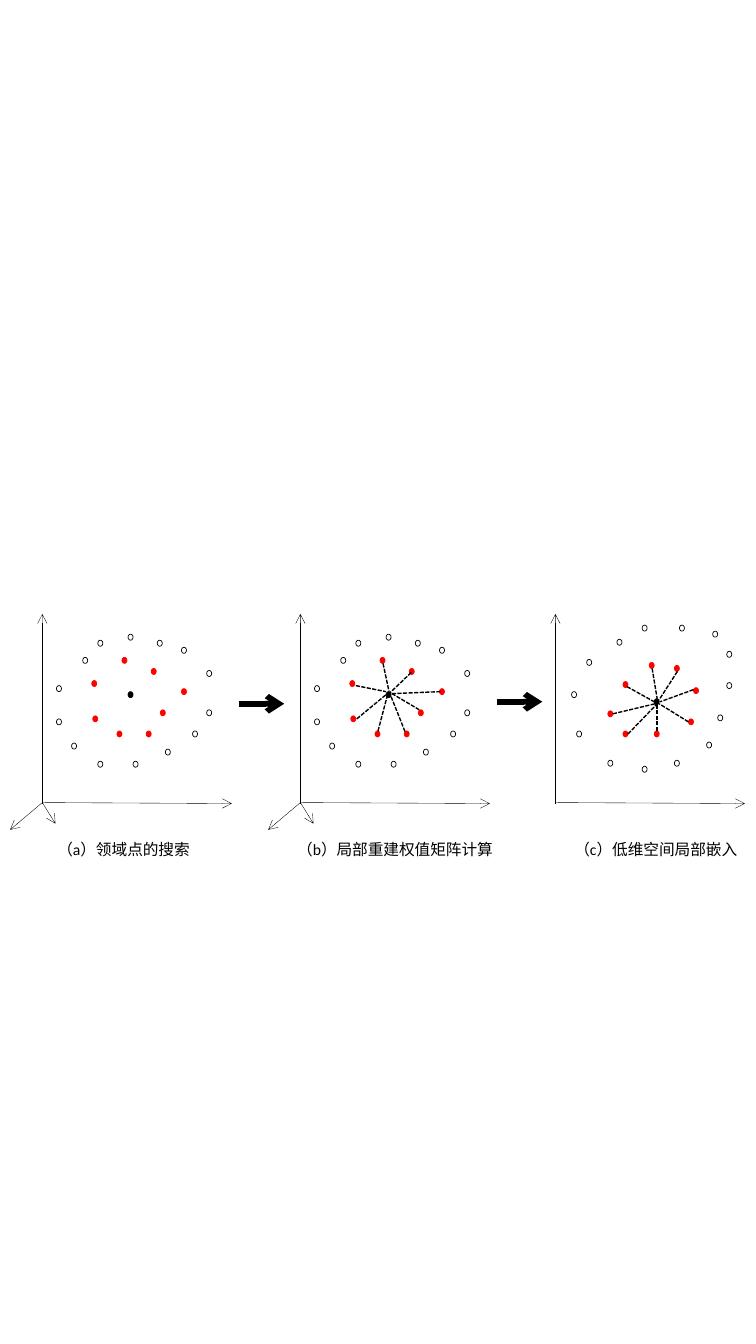
from dataclasses import dataclass

import pptx
import pptx.dml.color
import pptx.enum.dml
import pptx.enum.shapes
import pptx.enum.text
import pptx.oxml
import pptx.oxml.ns
import pptx.slide
import pptx.util
from pptx.util import Inches

BLACK = pptx.dml.color.RGBColor(0x00, 0x00, 0x00)
RED = pptx.dml.color.RGBColor(0xFF, 0x00, 0x00)

DOT_WIDTH, DOT_HEIGHT = 0.05, 0.06
AXIS_TOP, AXIS_BASE = 6.09, 7.97
AXIS_LENGTH = 1.88
PANEL_STEP = 2.56

Point = tuple[float, float]
Segment = tuple[float, float, float, float]


@dataclass(frozen=True)
class Cloud:
    outer: list[Point]
    neighbours: list[Point]
    centre: Point


@dataclass(frozen=True)
class Panel:
    axis_left: float
    has_depth: bool
    cloud: Cloud
    cloud_shift: float
    spokes: list[Segment]
    caption: str
    caption_left: float
    caption_width: float


SPACE_CLOUD = Cloud(
    outer=[
        (0.97, 6.35), (0.82, 6.52), (0.56, 6.8), (0.56, 7.13), (0.71, 7.37),
        (0.97, 7.55), (1.27, 6.29), (1.8, 6.42), (1.32, 7.55), (1.64, 7.43),
        (2.05, 6.65), (1.91, 7.25), (2.05, 7.04), (1.56, 6.35),
    ],
    neighbours=[
        (1.8, 6.83), (0.91, 6.75), (1.21, 6.52), (0.92, 7.1),
        (1.16, 7.25), (1.45, 7.25), (1.5, 6.63), (1.59, 7.04),
    ],
    centre=(1.27, 6.86),
)

EMBEDDED_CLOUD = Cloud(
    outer=[
        (6.12, 6.34), (5.82, 6.54), (5.67, 6.86), (5.72, 7.25), (6.03, 7.54),
        (6.37, 7.6), (6.37, 6.2), (7.07, 6.26), (6.69, 7.54), (7.01, 7.36),
        (7.21, 6.46), (7.12, 7.09), (7.21, 6.77), (6.74, 6.2),
    ],
    neighbours=[
        (6.88, 6.82), (6.18, 6.76), (6.44, 6.57), (6.03, 7.05),
        (6.18, 7.25), (6.49, 7.25), (6.69, 6.6), (6.83, 7.13),
    ],
    centre=(6.49, 6.93),
)

WEIGHT_SPOKES = [
    (3.8, 6.58, 3.86, 6.86), (3.53, 6.8, 3.83, 6.86),
    (3.54, 7.13, 3.83, 6.89), (3.75, 7.25, 3.84, 6.91),
    (4.08, 6.67, 3.86, 6.88), (3.88, 6.91, 4.02, 7.26),
    (4.37, 6.86, 3.88, 6.88), (4.16, 7.04, 3.89, 6.88),
]

EMBEDDED_SPOKES = [
    (6.47, 6.63, 6.52, 6.93), (6.08, 7.08, 6.5, 6.98),
    (6.23, 7.28, 6.52, 6.98), (6.72, 6.66, 6.54, 6.94),
    (6.83, 7.16, 6.54, 6.98), (6.22, 6.81, 6.49, 6.96),
    (6.52, 7.25, 6.52, 6.98), (6.88, 6.84, 6.55, 6.96),
]

PANELS = [
    Panel(0.42, True, SPACE_CLOUD, 0, [], "（a）领域点的搜索", 0.47, 1.53),
    Panel(0.42 + PANEL_STEP, True, SPACE_CLOUD, PANEL_STEP, WEIGHT_SPOKES,
          "（b）局部重建权值矩阵计算", 2.85, 2.17),
    Panel(5.51, False, EMBEDDED_CLOUD, 0, EMBEDDED_SPOKES,
          "（c）低维空间局部嵌入", 5.6, 1.84),
]

STEP_ARROWS = [(2.37, 6.98, 2.82, 6.98), (4.93, 6.96, 5.38, 6.96)]


def add_line(page: pptx.slide.Slide, segment: Segment, weight: float, *,
             arrow: bool = False, dashed: bool = False) -> None:
    line = page.shapes.add_connector(
        pptx.enum.shapes.MSO_CONNECTOR.STRAIGHT,
        *(Inches(value) for value in segment))
    line.line.color.rgb = BLACK
    line.line.width = pptx.util.Pt(weight)
    if dashed:
        line.line.dash_style = pptx.enum.dml.MSO_LINE.SQUARE_DOT
        line.line._get_or_add_ln().find(
            pptx.oxml.ns.qn("a:prstDash")).set("val", "sysDash")
    if arrow:
        head = pptx.oxml.parse_xml(
            f'<a:tailEnd {pptx.oxml.ns.nsdecls("a")} type="arrow"/>')
        line.line._get_or_add_ln().append(head)
    properties = line._element.spPr
    properties.append(pptx.oxml.parse_xml(
        f'<a:effectLst {pptx.oxml.ns.nsdecls("a")}/>'))


def add_dot(page: pptx.slide.Slide, left: float, top: float,
            color: pptx.dml.color.RGBColor, *, filled: bool) -> None:
    dot = page.shapes.add_shape(
        pptx.enum.shapes.MSO_SHAPE.OVAL, Inches(left), Inches(top),
        Inches(DOT_WIDTH), Inches(DOT_HEIGHT))
    dot.shadow.inherit = False
    if filled:
        dot.fill.solid()
        dot.fill.fore_color.rgb = color
    else:
        dot.fill.background()
    dot.line.color.rgb = color
    dot.line.width = pptx.util.Pt(0.5)


def add_text(page: pptx.slide.Slide, text: str, *, left: float, top: float,
             width: float, height: float, size: float, font: str,
             color: pptx.dml.color.RGBColor) -> None:
    box = page.shapes.add_textbox(
        Inches(left), Inches(top), Inches(width), Inches(height))
    box.text_frame.word_wrap = True
    box.text_frame.auto_size = pptx.enum.text.MSO_AUTO_SIZE.SHAPE_TO_FIT_TEXT
    span = box.text_frame.paragraphs[0].add_run()
    span.text = text
    span.font.size = pptx.util.Pt(size)
    span.font.name = font
    span.font.color.rgb = color


def add_axes(page: pptx.slide.Slide, left: float, has_depth: bool) -> None:
    origin_top = AXIS_BASE - 0.01
    axes = [
        (left, origin_top, left + AXIS_LENGTH, AXIS_BASE),
        (left, AXIS_BASE, left, AXIS_TOP),
    ]
    if has_depth:
        axes += [
            (left, origin_top, left - 0.32, 8.23),
            (left, origin_top, left + 0.13, 8.17),
        ]
    for axis in axes:
        add_line(page, axis, 0.25, arrow=True)


def add_panel(page: pptx.slide.Slide, panel: Panel) -> None:
    add_axes(page, panel.axis_left, panel.has_depth)
    cloud = panel.cloud
    for points, color, filled in (
        (cloud.outer, BLACK, False),
        (cloud.neighbours, RED, True),
        ([cloud.centre], BLACK, True),
    ):
        for left, top in points:
            add_dot(page, left + panel.cloud_shift, top, color, filled=filled)
    for spoke in panel.spokes:
        add_line(page, spoke, 1, dashed=True)
    add_text(page, panel.caption, left=panel.caption_left, top=8.28,
             width=panel.caption_width, height=0.29, size=11.2,
             font="Calibri", color=BLACK)


def main() -> None:
    deck = pptx.Presentation()
    deck.slide_width = Inches(7.5)
    deck.slide_height = Inches(13.33)
    page = deck.slides.add_slide(deck.slide_layouts[6])
    for panel in PANELS:
        add_panel(page, panel)
    for step_arrow in STEP_ARROWS:
        add_line(page, step_arrow, 4, arrow=True)
    deck.save("out.pptx")


if __name__ == "__main__":
    main()
